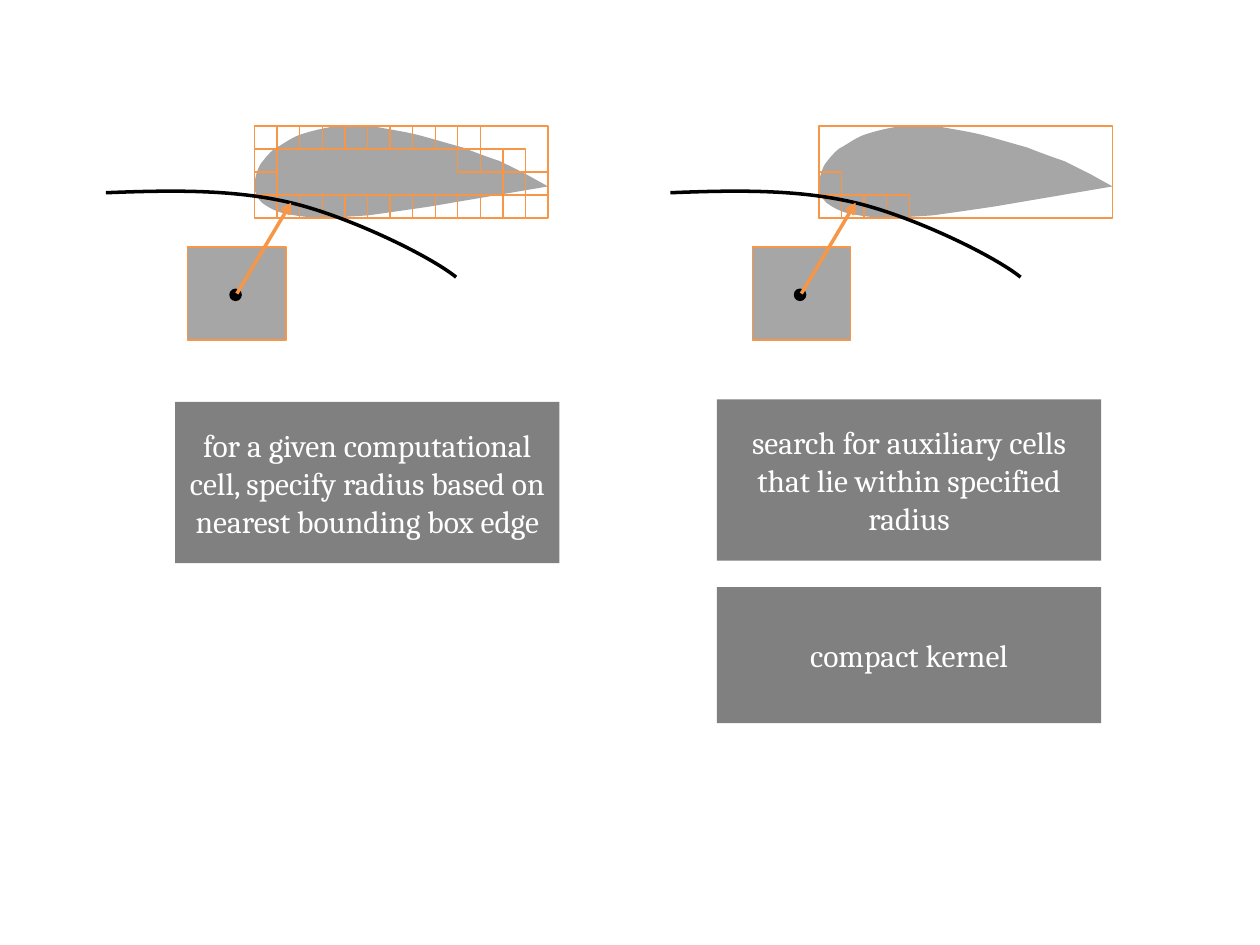
import pptx
import pptx.dml.color
import pptx.enum.shapes
import pptx.enum.text
import pptx.oxml
import pptx.oxml.ns
import pptx.util
from pptx.util import Inches

COLORS = {"edge": "F79646", "body": "A6A6A6", "label": "808080", "ink": "000000", "text": "FFFFFF"}
SHAPES = pptx.enum.shapes.MSO_SHAPE
PANEL_SHIFT = 4.48
BOX_LEFT, BOX_TOP, BOX_WIDTH, BOX_HEIGHT = 2.02, 1, 2.33, 0.73
COLUMNS, ROWS = 13, 4

AIRFOIL_START = (4.35, 1.48)
AIRFOIL = [
    [(4.17, 1.38)],
    [(4.11, 1.35), (4.05, 1.32), (3.97, 1.28)],
    [(3.88, 1.25), (3.77, 1.21), (3.67, 1.17)],
    [(3.56, 1.14), (3.46, 1.11), (3.35, 1.08)],
    [(3.24, 1.05), (3.11, 1.03), (3, 1.01)],
    [(2.9, 1), (2.8, 0.99), (2.69, 1)],
    [(2.59, 1.01), (2.47, 1.04), (2.38, 1.07)],
    [(2.3, 1.1), (2.24, 1.15), (2.18, 1.18)],
    [(2.13, 1.22), (2.11, 1.25), (2.07, 1.3)],
    [(2.04, 1.35), (2.02, 1.42), (2.02, 1.48)],
    [(2.02, 1.53), (2.04, 1.57), (2.08, 1.61)],
    [(2.12, 1.64), (2.17, 1.67), (2.24, 1.69)],
    [(2.32, 1.71), (2.4, 1.72), (2.52, 1.73)],
    [(2.63, 1.73), (2.77, 1.72), (2.92, 1.71)],
    [(3.07, 1.69), (3.41, 1.64), (3.41, 1.64)],
    [(3.94, 1.55)],
    [AIRFOIL_START],
]
ARC_START = (0.84, 1.53)
ARC = [
    [(1.34, 1.51), (1.85, 1.5), (2.31, 1.61)],
    [(2.77, 1.72), (3.41, 2.03), (3.62, 2.2)],
]
ALL_EDGE_CELLS = (
    [(0, 1), (0, 0), (0, 2), (0, 3)]
    + [(column, row) for column in range(1, 9) for row in (0, 3)]
    + [(9, 1), (9, 0), (9, 3), (10, 1), (10, 3), (11, 1), (11, 2), (11, 3), (12, 2)]
)
NEARBY_CELLS = [(0, 2)] + [(column, 3) for column in range(4)]


def rgb(name):
    """Return the named colour."""
    return pptx.dml.color.RGBColor.from_string(COLORS[name])


def style(shape, fill=None, line=None, weight=0.75):
    """Set fill and line of a shape and drop its shadow."""
    shape.shadow.inherit = False
    if fill:
        shape.fill.solid()
        shape.fill.fore_color.rgb = rgb(fill)
    else:
        shape.fill.background()
    if line:
        shape.line.color.rgb = rgb(line)
        shape.line.width = pptx.util.Pt(weight)
    else:
        shape.line.fill.background()


def add_block(slide, kind, left, top, width, height, fill=None, line=None):
    """Add a styled preset shape."""
    block = slide.shapes.add_shape(kind, Inches(left), Inches(top), Inches(width), Inches(height))
    style(block, fill, line)
    return block


def add_curve(slide, shift, start, segments, closed, **look):
    """Add an outline of lines and cubic curves, moved right by shift."""
    builder = slide.shapes.build_freeform(Inches(start[0] + shift), Inches(start[1]))
    ends = [(Inches(segment[-1][0] + shift), Inches(segment[-1][1])) for segment in segments]
    builder.add_line_segments(ends, close=closed)
    outline = builder.convert_to_shape()
    straight = list(outline._element.iter(pptx.oxml.ns.qn("a:lnTo")))
    for side, segment in zip(straight, segments):
        if len(segment) == 3:
            points = "".join(
                f'<a:pt x="{Inches(x + shift) - outline.left}" y="{Inches(y) - outline.top}"/>'
                for x, y in segment
            )
            bend = pptx.oxml.parse_xml(
                f'<a:cubicBezTo {pptx.oxml.ns.nsdecls("a")}>{points}</a:cubicBezTo>'
            )
            side.getparent().replace(side, bend)
    style(outline, **look)


def add_arrow(slide, start, end):
    """Add a straight arrow from start to end."""
    arrow = slide.shapes.add_connector(
        pptx.enum.shapes.MSO_CONNECTOR.STRAIGHT, *[Inches(value) for value in start + end]
    )
    arrow.line.color.rgb = rgb("edge")
    arrow.line.width = pptx.util.Pt(2)
    head = pptx.oxml.parse_xml(f'<a:tailEnd {pptx.oxml.ns.nsdecls("a")} type="arrow"/>')
    arrow.line._get_or_add_ln().append(head)
    effects = pptx.oxml.parse_xml(f'<a:effectLst {pptx.oxml.ns.nsdecls("a")}/>')
    arrow._element.spPr.append(effects)


def add_computational_cell(slide, shift):
    """Add a computational cell with its centre."""
    add_block(slide, SHAPES.RECTANGLE, 1.49 + shift, 1.96, 0.78, 0.74, "body", "edge")
    add_block(slide, SHAPES.OVAL, 1.82 + shift, 2.29, 0.1, 0.1, "ink")


def add_airfoil(slide, shift, cells):
    """Add an airfoil in its bounding box, with auxiliary cells and the search arc."""
    add_curve(slide, shift, AIRFOIL_START, AIRFOIL, True, fill="body")
    left = BOX_LEFT + shift
    add_block(slide, SHAPES.RECTANGLE, left, BOX_TOP, BOX_WIDTH, BOX_HEIGHT, line="edge")
    cell_width, cell_height = BOX_WIDTH / COLUMNS, BOX_HEIGHT / ROWS
    for column, row in cells:
        add_block(slide, SHAPES.RECTANGLE, left + column * cell_width, BOX_TOP + row * cell_height,
                  cell_width, cell_height, line="edge")
    add_curve(slide, shift, ARC_START, ARC, False, line="ink", weight=2)


def add_radius(slide, shift):
    """Add the search radius from the cell centre to the arc."""
    add_arrow(slide, (1.88 + shift, 2.33), (2.31 + shift, 1.61))


def add_label(slide, left, top, height, text):
    """Add a grey box with centred text."""
    label = add_block(slide, SHAPES.RECTANGLE, left, top, 3.05, height, "label")
    frame = label.text_frame
    frame.text = text
    frame.word_wrap = True
    frame.vertical_anchor = pptx.enum.text.MSO_ANCHOR.MIDDLE
    paragraph = frame.paragraphs[0]
    paragraph.alignment = pptx.enum.text.PP_ALIGN.CENTER
    font = paragraph.runs[0].font
    font.name = "Cambria"
    font.size = pptx.util.Pt(18)
    font.color.rgb = rgb("text")


def main():
    """Build the slide and save it."""
    deck = pptx.Presentation()
    deck.slide_width, deck.slide_height = Inches(10), Inches(7.5)
    slide = deck.slides.add_slide(deck.slide_layouts[6])
    add_computational_cell(slide, 0)
    add_airfoil(slide, 0, ALL_EDGE_CELLS)
    add_radius(slide, 0)
    add_airfoil(slide, PANEL_SHIFT, NEARBY_CELLS)
    add_label(slide, 1.39, 3.19, 1.28,
              "for a given computational cell, specify radius based on nearest bounding box edge")
    add_label(slide, 5.69, 4.66, 1.08, "compact kernel")
    add_label(slide, 5.69, 3.17, 1.28, "search for auxiliary cells that lie within specified radius")
    add_computational_cell(slide, PANEL_SHIFT)
    add_radius(slide, PANEL_SHIFT)
    deck.save("out.pptx")


if __name__ == "__main__":
    main()
